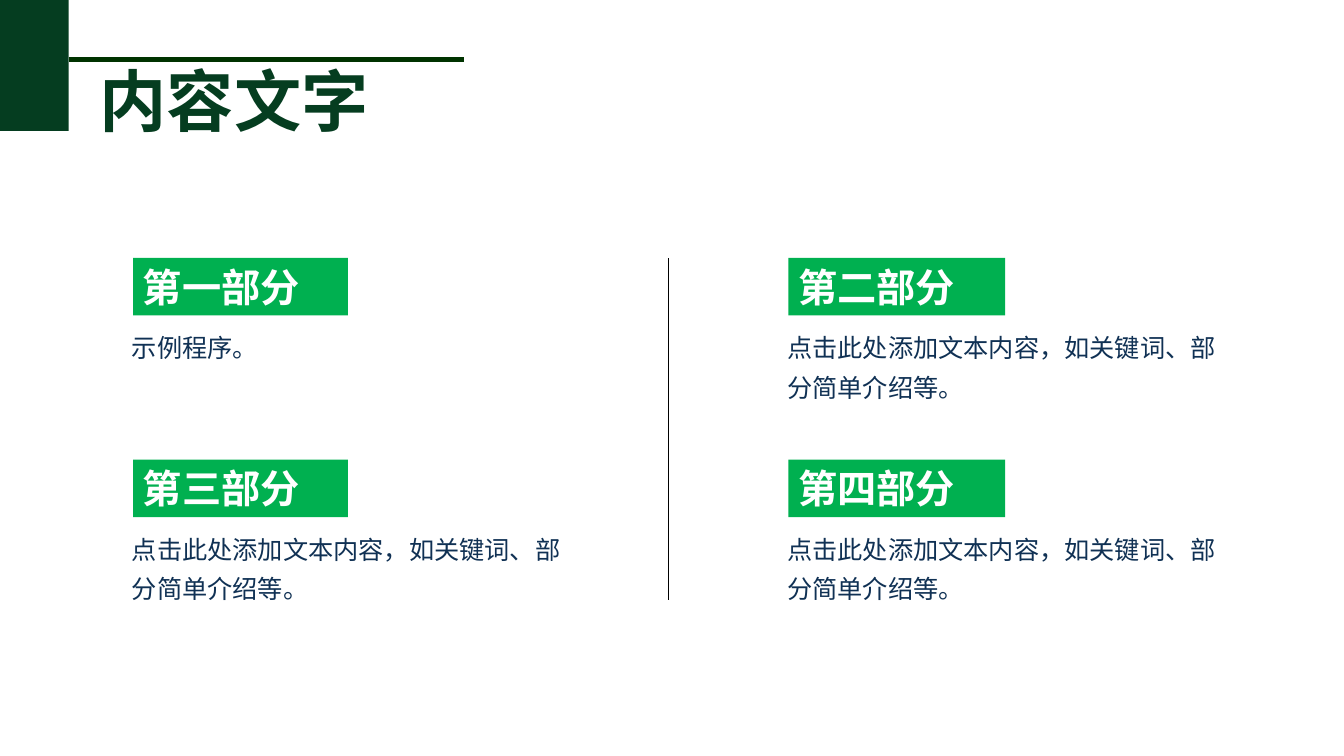
import dataclasses

import lxml.etree
import pptx
import pptx.dml.color
import pptx.enum.shapes
import pptx.enum.text
import pptx.oxml.ns
import pptx.util

EMU_PER_PX = 9144  # 100 px to the inch


@dataclasses.dataclass(frozen=True)
class Theme:
    dark: str = "053D20"
    rule: str = "003300"
    accent: str = "00B050"
    body: str = "103154"
    white: str = "FFFFFF"
    black: str = "000000"
    heading_font: str = "Calibri"
    body_font: str = "Noto Sans CJK SC"
    title_size: int = 48
    tag_size: int = 28
    body_size: int = 18


def px(length):
    return pptx.util.Emu(length * EMU_PER_PX)


def rgb(code):
    return pptx.dml.color.RGBColor.from_string(code)


class SlideBuilder:
    def __init__(self, slide, theme):
        self.shapes = slide.shapes
        self.theme = theme

    def block(self, left, top, width, height, color):
        shape = self.shapes.add_shape(
            pptx.enum.shapes.MSO_SHAPE.RECTANGLE, *map(px, (left, top, width, height)))
        shape.shadow.inherit = False
        shape.fill.solid()
        shape.fill.fore_color.rgb = rgb(color)
        shape.line.fill.background()
        return shape

    def line(self, x1, y1, x2, y2, color, weight):
        connector = self.shapes.add_connector(
            pptx.enum.shapes.MSO_CONNECTOR.STRAIGHT, *map(px, (x1, y1, x2, y2)))
        connector.line.color.rgb = rgb(color)
        connector.line.width = pptx.util.Pt(weight)
        lxml.etree.SubElement(connector._element.spPr, pptx.oxml.ns.qn("a:effectLst"))

    def fill_text(self, shape, text, size, color, font, bold=False, wrap=True, spacing=1.0):
        frame = shape.text_frame
        frame.word_wrap = wrap
        frame.vertical_anchor = pptx.enum.text.MSO_ANCHOR.TOP
        para = frame.paragraphs[0]
        para.alignment = pptx.enum.text.PP_ALIGN.LEFT
        para.line_spacing = spacing
        span = para.add_run()
        span.text = text
        span.font.color.rgb = rgb(color)
        style = {"size": pptx.util.Pt(size), "name": font, "bold": bold}
        for name, value in style.items():
            setattr(span.font, name, value)
        # The East Asian typeface sets the line height of Chinese text.
        east_asian = lxml.etree.SubElement(
            span._r.get_or_add_rPr(), pptx.oxml.ns.qn("a:ea"))
        east_asian.set("typeface", self.theme.heading_font)

    def text(self, left, top, width, height, text, **style):
        box = self.shapes.add_textbox(*map(px, (left, top, width, height)))
        self.fill_text(box, text, **style)

    def header(self, title):
        theme = self.theme
        self.block(0, 0, 68, 130, theme.dark)
        self.line(68, 59, 460, 59, theme.rule, 3)
        self.text(89, 54, 289, 91, title, size=theme.title_size, color=theme.dark,
                  font=theme.heading_font, bold=True, wrap=False)

    def section(self, left, top, tag_width, heading, body):
        """Draw a green heading tag with its body text below."""
        theme = self.theme
        tag = self.block(left, top, tag_width, 57, theme.accent)
        self.fill_text(tag, heading, size=theme.tag_size, color=theme.white,
                       font=theme.heading_font, bold=True)
        self.text(left - 11, top + 60, 454, 89, body, size=theme.body_size,
                  color=theme.body, font=theme.body_font, spacing=1.3)


def main():
    deck = pptx.Presentation()
    deck.slide_width = pptx.util.Inches(13.33)
    deck.slide_height = pptx.util.Inches(7.5)
    theme = Theme()
    page = SlideBuilder(deck.slides.add_slide(deck.slide_layouts[6]), theme)

    page.header("内容文字")
    prompt = "点击此处添加文本内容，如关键词、部分简单介绍等。"
    sections = [
        ("第一部分", "示例程序。"),
        ("第二部分", prompt),
        ("第三部分", prompt),
        ("第四部分", prompt),
    ]
    columns = [(132, 213), (782, 215)]
    for index, (heading, body) in enumerate(sections):
        row, column = divmod(index, len(columns))
        left, tag_width = columns[column]
        page.section(left, 256 + 200 * row, tag_width, heading, body)
    page.line(663, 256, 663, 595, theme.black, 1)

    deck.save("out.pptx")


if __name__ == "__main__":
    main()
